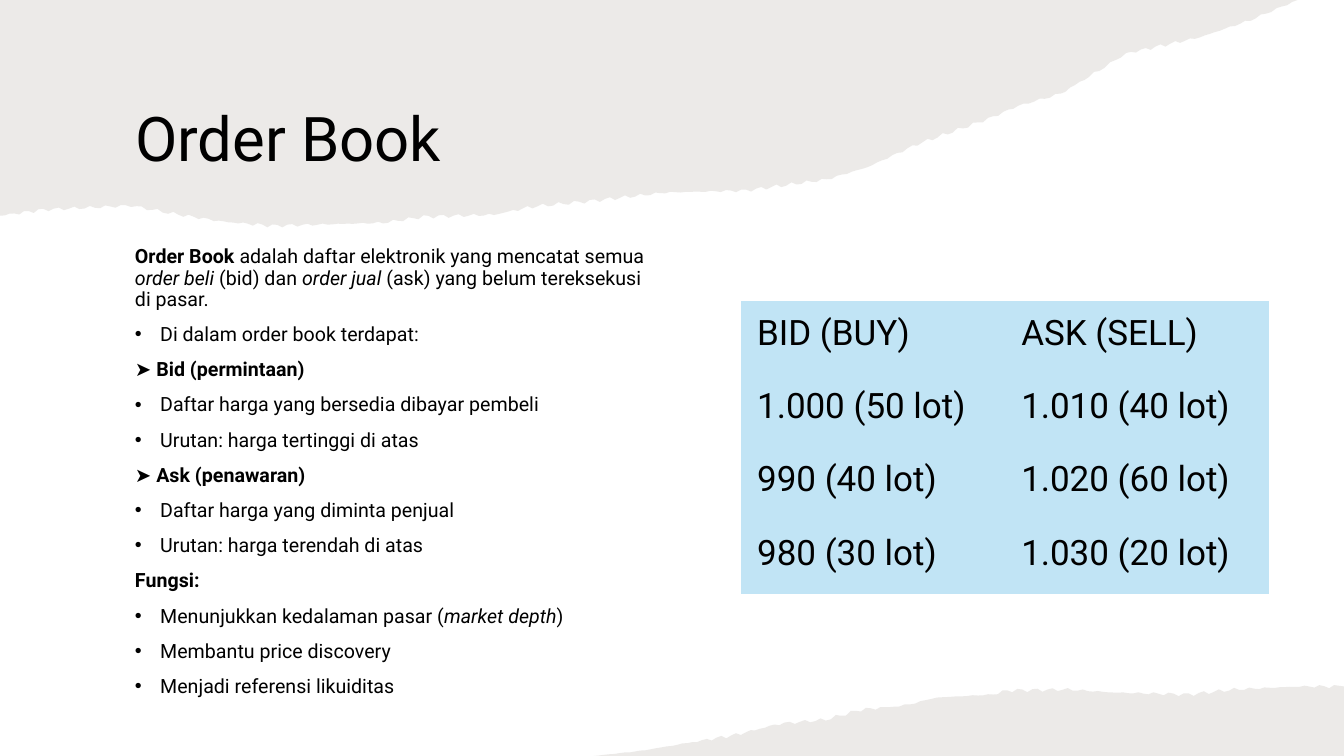
import math
from itertools import pairwise

import pptx
import pptx.dml.color
import pptx.enum.text
import pptx.oxml.ns
import pptx.util
from lxml import etree
from pptx.util import Inches

FONT = "Roboto"
INK = "000000"
PAPER = "82766A"
PAPER_OPACITY = 0.15
TABLE_BLUE = "C1E4F5"
NO_GRID_STYLE = "{2D5ABB26-0587-4C30-8999-92F81FD0307C}"

TEAR_STEP = 0.05
TEAR_DEPTH = 0.02
HEADER_TEAR = [
    (0, 2.14), (0.43, 2.08), (1.3, 2.04), (1.72, 2.12), (2.22, 2.2), (2.7, 2.24),
    (3.8, 2.21), (4.2, 2.15), (4.9, 2.13), (5.28, 2.05), (5.9, 1.99), (6.6, 1.91),
    (7.4, 1.89), (8.2, 1.78), (8.6, 1.66), (9.1, 1.43), (9.8, 1.18), (10.1, 1.05),
    (10.52, 0.93), (10.85, 0.73), (11.17, 0.53), (11.9, 0.37), (12.4, 0.2), (12.87, 0),
]
FOOTER_TEAR = [
    (0, 0.71), (0.46, 0.66), (0.88, 0.59), (1.41, 0.5), (1.84, 0.39), (2.3, 0.35),
    (2.65, 0.25), (3.08, 0.21), (3.4, 0.13), (3.96, 0.1), (4.1, 0.06), (4.7, 0.05),
    (5.15, 0.08), (5.9, 0.1), (6.35, 0.05), (7, 0.02), (7.44, 0.02),
]

DEFINITION = [
    ("Order Book ", "bold"), ("adalah daftar elektronik yang mencatat semua ", ""),
    ("order beli", "italic"), (" (bid) dan ", ""), ("order jual", "italic"),
    (" (ask) yang belum tereksekusi di pasar.", ""),
]
MARKET_DEPTH = [("Menunjukkan kedalaman pasar (", ""), ("market depth", "italic"), (")", "")]
SECTIONS = [
    (DEFINITION, [[("Di dalam order book terdapat:", "")]]),
    ([("➤ Bid (permintaan)", "bold")], [
        [("Daftar harga yang bersedia dibayar pembeli", "")],
        [("Urutan: harga tertinggi di atas", "")],
    ]),
    ([("➤ Ask (penawaran)", "bold")], [
        [("Daftar harga yang diminta penjual", "")],
        [("Urutan: harga terendah di atas", "")],
    ]),
    ([("Fungsi:", "bold")], [
        MARKET_DEPTH,
        [("Membantu price discovery", "")],
        [("Menjadi referensi likuiditas", "")],
    ]),
]
ORDERS = [
    ("BID (BUY)", "ASK (SELL)"),
    ("1.000 (50 lot)", "1.010 (40 lot)"),
    ("990 (40 lot)", "1.020 (60 lot)"),
    ("980 (30 lot)", "1.030 (20 lot)"),
]


def color(hex_string):
    return pptx.dml.color.RGBColor.from_string(hex_string)


def add_run(paragraph, text, size, style=""):
    run = paragraph.add_run()
    run.text = text
    run.font.name = FONT
    run.font.size = pptx.util.Pt(size)
    run.font.bold = style == "bold"
    run.font.italic = style == "italic"
    run.font.color.rgb = color(INK)


def roughen(tear):
    rough_edge = []
    for (start_x, start_y), (end_x, end_y) in pairwise(tear):
        steps = max(1, round((end_x - start_x) / TEAR_STEP))
        for step in range(steps):
            share = step / steps
            x = start_x + share * (end_x - start_x)
            y = start_y + share * (end_y - start_y)
            ripple = TEAR_DEPTH * math.sin(23 * x) * math.sin(61 * x)
            rough_edge.append((x, y + ripple))
    return rough_edge + [tear[-1]]


def add_torn_paper(slide, left, top, corner, tear):
    outline = [(Inches(x), Inches(y)) for x, y in [corner] + roughen(tear)]
    builder = slide.shapes.build_freeform(*outline[0])
    builder.add_line_segments(outline[1:], close=True)
    paper = builder.convert_to_shape(Inches(left), Inches(top))
    paper.shadow.inherit = False
    paper.line.fill.background()
    paper.fill.solid()
    paper.fill.fore_color.rgb = color(PAPER)
    tint = next(paper.element.iter(pptx.oxml.ns.qn("a:srgbClr")))
    opacity = str(round(PAPER_OPACITY * 100000))
    etree.SubElement(tint, pptx.oxml.ns.qn("a:alpha"), val=opacity)


def place_title(slide, left, top, width, height):
    title = slide.shapes.title
    title.element.getparent().append(title.element)
    title.left, title.top = Inches(left), Inches(top)
    title.width, title.height = Inches(width), Inches(height)
    title.text_frame.vertical_anchor = pptx.enum.text.MSO_ANCHOR.MIDDLE
    heading = title.text_frame.paragraphs[0]
    heading.alignment = pptx.enum.text.PP_ALIGN.LEFT
    heading.line_spacing = 0.9
    add_run(heading, "Order Book", 44)


def add_bullet(paragraph):
    properties = paragraph._p.get_or_add_pPr()
    properties.set("marL", str(Inches(0.25)))
    properties.set("indent", str(Inches(-0.25)))
    etree.SubElement(properties, pptx.oxml.ns.qn("a:buFont"), typeface="Arial")
    etree.SubElement(properties, pptx.oxml.ns.qn("a:buChar"), char="•")


def add_explanation(slide, left, top, width, height):
    explanation = slide.shapes.add_textbox(
        Inches(left), Inches(top), Inches(width), Inches(height)).text_frame
    explanation.word_wrap = True
    lines = []
    for lead, points in SECTIONS:
        lines.append((lead, False))
        lines.extend((point, True) for point in points)
    for index, (runs, bulleted) in enumerate(lines):
        paragraph = explanation.add_paragraph() if index else explanation.paragraphs[0]
        paragraph.line_spacing = 0.9
        if index:
            paragraph.space_before = pptx.util.Pt(10)
        if bulleted:
            add_bullet(paragraph)
        for text, style in runs:
            add_run(paragraph, text, 14, style)


def add_order_table(slide, left, top, width, height):
    frame = slide.shapes.add_table(
        len(ORDERS), len(ORDERS[0]),
        Inches(left), Inches(top), Inches(width), Inches(height))
    next(frame.element.iter(pptx.oxml.ns.qn("a:tableStyleId"))).text = NO_GRID_STYLE
    order_table = frame.table
    order_table.first_row = False
    order_table.horz_banding = False
    for row, orders in enumerate(ORDERS):
        for column, order in enumerate(orders):
            cell = order_table.cell(row, column)
            cell.fill.solid()
            cell.fill.fore_color.rgb = color(TABLE_BLUE)
            cell.vertical_anchor = pptx.enum.text.MSO_ANCHOR.MIDDLE
            cell.margin_left = cell.margin_right = cell.margin_bottom = Inches(0.16)
            cell.margin_top = Inches(0.08)
            add_run(cell.text_frame.paragraphs[0], order, 25)


def main():
    presentation = pptx.Presentation()
    presentation.slide_width = Inches(13.33)
    presentation.slide_height = Inches(7.5)
    slide = presentation.slides.add_slide(presentation.slide_layouts[5])
    add_torn_paper(slide, 0, 0, (0, 0), HEADER_TEAR)
    place_title(slide, 1.24, 0.67, 10.27, 1.46)
    add_explanation(slide, 1.24, 2.4, 5.42, 4.75)
    add_torn_paper(slide, 5.89, 6.79, (7.44, 0.71), FOOTER_TEAR)
    add_order_table(slide, 7.35, 2.99, 5.24, 2.9)
    presentation.save("out.pptx")


if __name__ == "__main__":
    main()
